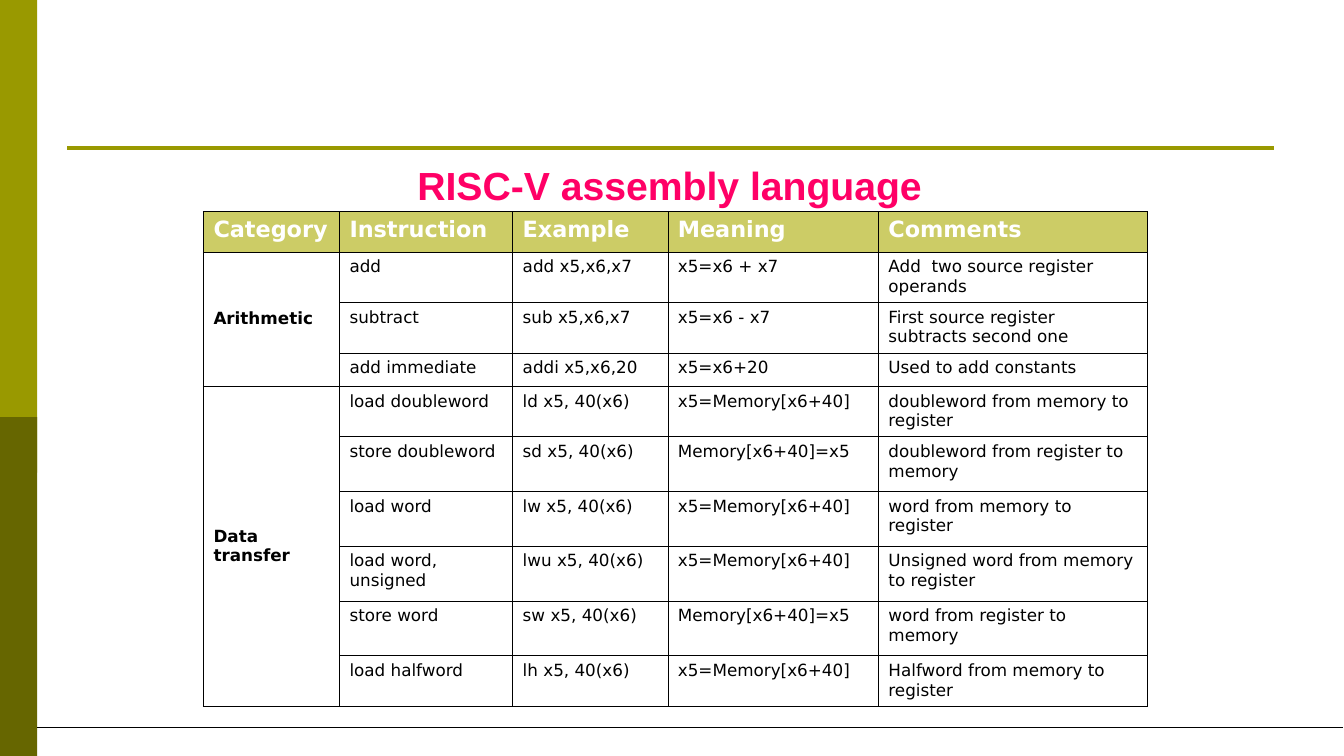
from lxml import etree
from pptx import Presentation
from pptx.dml import color
from pptx.enum import shapes, text
from pptx.oxml import ns
from pptx.util import Pt

OLIVE, DARK_OLIVE, PALE_OLIVE = "999900", "666600", "CCCC66"
BLACK, WHITE, PINK = "000000", "FFFFFF", "FF0066"
THIN, THICK = 0.45, 1.08
COLUMN_WIDTHS = (97.2, 123.8, 110.9, 150.5, 192.4)
ROW_HEIGHTS = (28.8, 36, 36, 24, 36, 39, 39, 39.5, 39, 36)
HEADINGS = ("Category", "Instruction", "Example", "Meaning", "Comments")
CATEGORIES = {
    "Arithmetic": (
        ("add", "add x5,x6,x7", "x5=x6 + x7", "Add  two source register operands"),
        ("subtract", "sub x5,x6,x7", "x5=x6 - x7", "First source register subtracts second one"),
        ("add immediate", "addi x5,x6,20", "x5=x6+20", "Used to add constants"),
    ),
    "Data transfer": (
        ("load doubleword", "ld x5, 40(x6)", "x5=Memory[x6+40]", "doubleword from memory to register"),
        ("store doubleword", "sd x5, 40(x6)", "Memory[x6+40]=x5", "doubleword from register to memory"),
        ("load word", "lw x5, 40(x6)", "x5=Memory[x6+40]", "word from memory to register"),
        ("load word, unsigned", "lwu x5, 40(x6)", "x5=Memory[x6+40]", "Unsigned word from memory to register"),
        ("store word", "sw x5, 40(x6)", "Memory[x6+40]=x5", "word from register to memory"),
        ("load halfword", "lh x5, 40(x6)", "x5=Memory[x6+40]", "Halfword from memory to register"),
    ),
}


def rgb(value):
    """Turn a hex string into a colour."""
    return color.RGBColor.from_string(value)


def write(frame, words, hue, **font):
    """Put one formatted paragraph into a text frame and return it."""
    para = frame.paragraphs[0]
    span = para.add_run()
    span.text = words
    span.font.color.rgb = rgb(hue)
    for name, value in font.items():
        setattr(span.font, name, value)
    return para


def add_bar(page, top, height, hue):
    """Add one block of the side band at the left edge."""
    bar = page.shapes.add_shape(
        shapes.MSO_SHAPE.RECTANGLE, 0, Pt(top), Pt(26.6), Pt(height))
    bar.shadow.inherit = False
    bar.fill.solid()
    bar.fill.fore_color.rgb = rgb(hue)
    bar.line.fill.background()


def add_rule(page, left, right, y, hue, width):
    """Add a horizontal line across the page."""
    rule = page.shapes.add_connector(
        shapes.MSO_CONNECTOR.STRAIGHT, Pt(left), Pt(y), Pt(right), Pt(y))
    rule.line.color.rgb = rgb(hue)
    rule.line.width = Pt(width)
    etree.SubElement(rule._element.spPr, ns.qn("a:effectLst"))


def set_title(page, words):
    """Place and format the title."""
    title = page.shapes.title
    box = {"left": 266, "top": 111.6, "width": 425, "height": 41}
    for name, value in box.items():
        setattr(title, name, Pt(value))
    frame = title.text_frame
    layout = {"vertical_anchor": text.MSO_ANCHOR.TOP, "word_wrap": True,
              "auto_size": text.MSO_AUTO_SIZE.NONE}
    for name, value in layout.items():
        setattr(frame, name, value)
    para = write(frame, words, PINK, name="Arial", size=Pt(28), bold=True)
    para.alignment = text.PP_ALIGN.CENTER


def add_borders(cell, widths):
    """Draw black borders, given widths by side."""
    properties = cell._tc.get_or_add_tcPr()
    for side, width in widths.items():
        line = etree.SubElement(properties, ns.qn(f"a:ln{side}"), w=str(Pt(width)))
        fill = etree.SubElement(line, ns.qn("a:solidFill"))
        etree.SubElement(fill, ns.qn("a:srgbClr"), val=BLACK)


def format_cell(cell, row, column):
    """Give a cell its borders and fill according to its place."""
    last_row, last_column = len(ROW_HEIGHTS) - 1, len(COLUMN_WIDTHS) - 1
    add_borders(cell, {
        "L": THICK if column == 0 else THIN,
        "R": THICK if column == last_column else THIN,
        "T": THICK if row == 0 else THIN,
        "B": THICK if row == last_row and column == 0 else THIN,
    })
    if row == 0:
        cell.fill.solid()
        cell.fill.fore_color.rgb = rgb(PALE_OLIVE)
    else:
        cell.fill.background()


def fill_table(table):
    """Write the headings, the merged categories and their instructions."""
    font = {"name": "DejaVu Sans", "size": Pt(12)}
    for column, heading in enumerate(HEADINGS):
        write(table.cell(0, column).text_frame, heading, WHITE,
              **{**font, "size": Pt(16), "bold": True})
    first = 1
    for category, instructions in CATEGORIES.items():
        label = table.cell(first, 0)
        label.merge(table.cell(first + len(instructions) - 1, 0))
        label.vertical_anchor = text.MSO_ANCHOR.MIDDLE
        write(label.text_frame, category, BLACK, bold=True, **font)
        for row, entries in enumerate(instructions, first):
            for column, words in enumerate(entries, 1):
                write(table.cell(row, column).text_frame, words, BLACK, bold=False, **font)
        first += len(instructions)


def add_instruction_table(page):
    """Add the table of instructions."""
    table = page.shapes.add_table(
        len(ROW_HEIGHTS), len(COLUMN_WIDTHS), Pt(145.4), Pt(151.2),
        Pt(sum(COLUMN_WIDTHS)), Pt(sum(ROW_HEIGHTS))).table
    table.first_row = table.horz_banding = False
    for column, width in zip(table.columns, COLUMN_WIDTHS):
        column.width = Pt(width)
    for row, height in zip(table.rows, ROW_HEIGHTS):
        row.height = Pt(height)
    for row in range(len(ROW_HEIGHTS)):
        for column in range(len(COLUMN_WIDTHS)):
            format_cell(table.cell(row, column), row, column)
    fill_table(table)


def main():
    """Build the slide and save it."""
    deck = Presentation()
    deck.slide_width, deck.slide_height = Pt(960.5), Pt(540)
    page = deck.slides.add_slide(deck.slide_layouts.get_by_name("Title Only"))
    add_bar(page, 0, 337.7, OLIVE)
    add_bar(page, 298, 242, DARK_OLIVE)
    add_rule(page, 48.2, 910.8, 105.8, OLIVE, 3)
    add_rule(page, 26.6, 960, 519.6, BLACK, 0.75)
    set_title(page, "RISC-V assembly language")
    add_instruction_table(page)
    deck.save("out.pptx")


if __name__ == "__main__":
    main()
